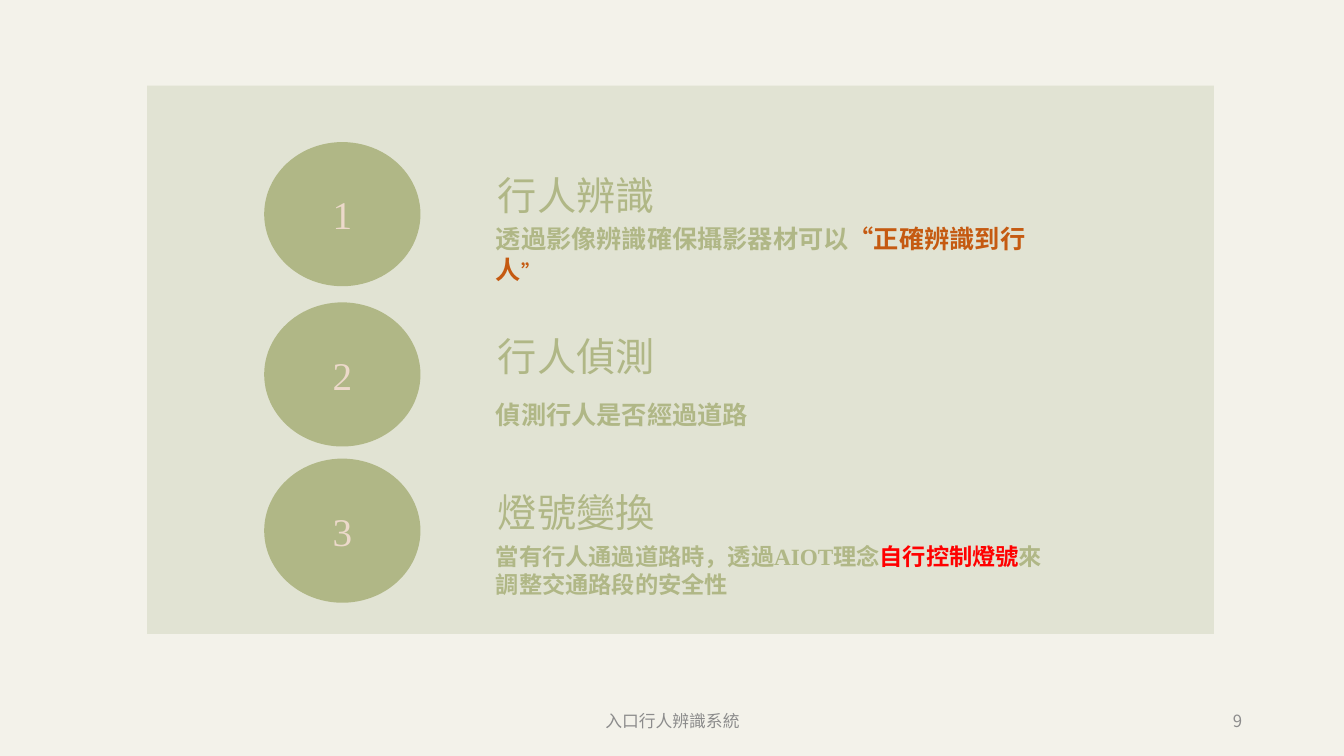
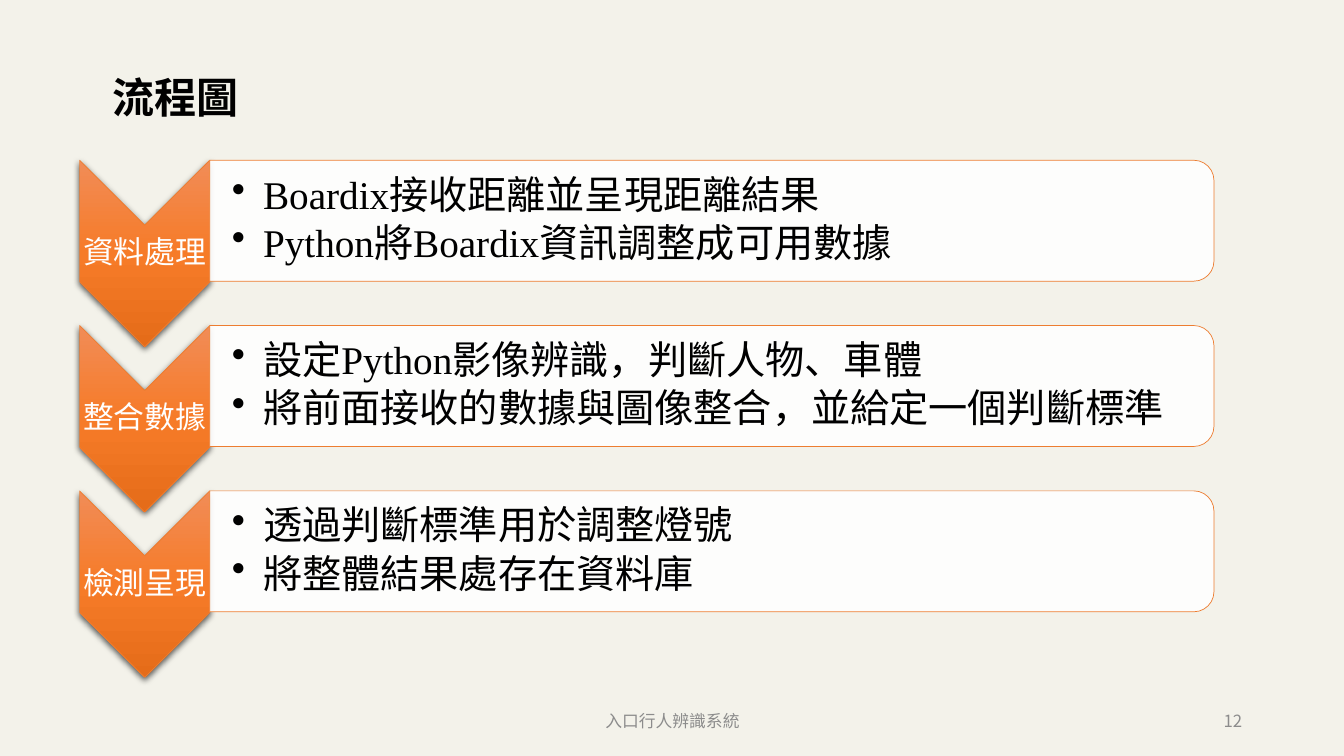
"""Build two slides on a pedestrian recognition system: goals and process flow."""
import pptx
import pptx.dml.color
import pptx.enum.shapes
import pptx.enum.text
import pptx.oxml
import pptx.util

Inches, Pt = pptx.util.Inches, pptx.util.Pt
SHAPES = pptx.enum.shapes.MSO_SHAPE
ALIGN = pptx.enum.text.PP_ALIGN
ANCHOR = pptx.enum.text.MSO_ANCHOR
NAMESPACE = 'xmlns:a="http://schemas.openxmlformats.org/drawingml/2006/main"'

CJK, SERIF = "Noto Sans CJK SC", "Times New Roman"
PAPER, PANEL, OLIVE, CREAM = "F3F2EA", "E1E3D3", "B0B786", "ECD9CA"
ORANGE, RUST, RED = "ED7D31", "C55A11", "FF0000"
GREY, BLACK, WHITE = "8C8C8C", "000000", "FFFFFF"
CHEVRON_STOPS = [(0, "F18C57"), (50, "F67B28"), (100, "E56C19")]

FOOTER = "入口行人辨識系統"
GOALS = [
    (1.41, "行人辨識", 18, [
        ("透過影像辨識確保攝影器材可以", {}),
        ("“正確辨識到行人", {"color": RUST}),
        ("”", {"color": RUST, "size": 14, "font": SERIF})]),
    (3, "行人偵測", 18, [("偵測行人是否經過道路", {})]),
    (4.55, "燈號變換", 16.6, [
        ("當有行人通過道路時，透過", {}),
        ("AIOT", {"font": SERIF}),
        ("理念", {}),
        ("自行控制燈號", {"color": RED}),
        ("來調整交通路段的安全性", {})]),
]
FLOW_TITLE = "流程圖"
FLOW = [
    ("資料處理", ["Boardix接收距離並呈現距離結果",
              "Python將Boardix資訊調整成可用數據"]),
    ("整合數據", ["設定Python影像辨識，判斷人物、車體",
              "將前面接收的數據與圖像整合，並給定一個判斷標準"]),
    ("檢測呈現", ["透過判斷標準用於調整燈號", "將整體結果處存在資料庫"]),
]
FLOW_TOP, FLOW_PITCH = 1.59, 1.64
CHEVRON_LEFT, CHEVRON_WIDTH, CHEVRON_HEIGHT = 0.79, 1.29, 1.85
CARD_WIDTH, CARD_HEIGHT = 9.96, 1.2


def rgb(value):
    """Return the colour for a hex string."""
    return pptx.dml.color.RGBColor.from_string(value)


def xml(markup):
    """Return a drawing element from markup that lacks its namespace."""
    tag, rest = markup[:markup.index(">")], markup[markup.index(">"):]
    return pptx.oxml.parse_xml(f"{tag} {NAMESPACE}{rest}")


def write(shape, paragraphs, size=18, color=BLACK, font=CJK, bold=False,
          align=ALIGN.LEFT, anchor=ANCHOR.MIDDLE, spacing=1.0, before=0,
          after=0, insets=None, bullet=False):
    """Fill a shape with paragraphs, each a string or a list of runs."""
    frame = shape.text_frame
    frame.word_wrap = True
    frame.auto_size = pptx.enum.text.MSO_AUTO_SIZE.NONE
    frame.vertical_anchor = anchor
    if insets:
        (frame.margin_left, frame.margin_top, frame.margin_right,
         frame.margin_bottom) = map(Inches, insets)
    for index, content in enumerate(paragraphs):
        paragraph = frame.add_paragraph() if index else frame.paragraphs[0]
        paragraph.alignment = align
        paragraph.line_spacing = spacing
        paragraph.space_before, paragraph.space_after = Pt(before), Pt(after)
        if bullet:
            properties = paragraph._p.get_or_add_pPr()
            properties.set("marL", str(Inches(0.31)))
            properties.set("indent", str(-Inches(0.31)))
            properties.append(xml('<a:buChar char="•"></a:buChar>'))
        runs = [(content, {})] if isinstance(content, str) else content
        for text, changes in runs:
            run = paragraph.add_run()
            run.text = text
            run.font.size = Pt(changes.get("size", size))
            run.font.bold = bold
            run.font.color.rgb = rgb(changes.get("color", color))
            run.font.name = changes.get("font", font)
            run._r.rPr.append(xml(f'<a:ea typeface="{CJK}"></a:ea>'))


def add_text(slide, box, paragraphs, **style):
    """Add a text box."""
    write(slide.shapes.add_textbox(*map(Inches, box)), paragraphs, **style)


def add_shape(slide, kind, box, fill, line=None):
    """Add a flat shape with a solid fill."""
    shape = slide.shapes.add_shape(kind, *map(Inches, box))
    shape.shadow.inherit = False
    shape.fill.solid()
    shape.fill.fore_color.rgb = rgb(fill)
    if line:
        shape.line.color.rgb = rgb(line)
        shape.line.width = Pt(0.5)
    else:
        shape.line.fill.background()
    return shape


def add_turned(slide, kind, box, fill):
    """Add a shape turned a quarter clockwise that covers the given box."""
    left, top, width, height = box
    shift = (width - height) / 2
    shape = add_shape(slide, kind, (left + shift, top - shift, height, width),
                      fill, ORANGE)
    shape.rotation = 90
    return shape


def add_chevron(slide, box):
    """Add a downward chevron with a gradient and a soft shadow."""
    chevron = add_turned(slide, SHAPES.CHEVRON, box, ORANGE)
    properties = chevron._element.spPr
    stops = "".join(f'<a:gs pos="{place * 1000}"><a:srgbClr val="{color}"/></a:gs>'
                    for place, color in CHEVRON_STOPS)
    solid = properties.find(pptx.oxml.ns.qn("a:solidFill"))
    properties.replace(solid, xml(
        f'<a:gradFill rotWithShape="1"><a:gsLst>{stops}</a:gsLst>'
        '<a:lin ang="0" scaled="0"/></a:gradFill>'))
    effects = properties.find(pptx.oxml.ns.qn("a:effectLst"))
    effects.append(xml(
        f'<a:outerShdw blurRad="{Pt(4.5)}" dist="{Pt(1.5)}" dir="5400000" '
        f'algn="ctr" rotWithShape="0"><a:srgbClr val="{BLACK}">'
        '<a:alpha val="63000"/></a:srgbClr></a:outerShdw>'))


def add_slide(presentation, layout, number):
    """Add a slide with the shared footer and its number."""
    slide = presentation.slides.add_slide(presentation.slide_layouts[layout])
    add_text(slide, (4.42, 6.95, 4.5, 0.4), [FOOTER], size=12, color=GREY,
             align=ALIGN.CENTER)
    add_text(slide, (9.42, 6.95, 3, 0.4), [str(number)], size=12, color=GREY,
             align=ALIGN.RIGHT)
    return slide


def build_goals(presentation):
    """Build the slide of three numbered goals."""
    slide = add_slide(presentation, 6, 9)
    add_shape(slide, SHAPES.RECTANGLE, (1.46, 0.85, 10.58, 5.44), PANEL)
    for number, (top, heading, size, detail) in enumerate(GOALS, 1):
        circle = add_shape(slide, SHAPES.OVAL, (2.62, top, 1.55, 1.43), OLIVE)
        write(circle, [str(number)], size=28, color=CREAM, font=SERIF,
              align=ALIGN.CENTER)
        add_text(slide, (4.84, top + 0.15, 5.57, 1.25), [heading], size=28,
                 color=OLIVE, anchor=ANCHOR.TOP, spacing=1.2)
        add_text(slide, (4.82, top + 0.71, 5.77, 0.8), [detail], size=size,
                 color=OLIVE, bold=True)


def build_flow(presentation):
    """Build the slide of the three process steps."""
    slide = add_slide(presentation, 5, 12)
    title = slide.shapes.title
    title.left, title.top, title.width, title.height = map(
        Inches, (1.02, 0.72, 11.5, 0.77))
    write(title, [FLOW_TITLE], size=30, bold=True, anchor=ANCHOR.TOP,
          spacing=0.9, before=10)
    card_left = CHEVRON_LEFT + CHEVRON_WIDTH
    for row, (step, details) in enumerate(FLOW):
        top = FLOW_TOP + row * FLOW_PITCH
        add_chevron(slide, (CHEVRON_LEFT, top, CHEVRON_WIDTH, CHEVRON_HEIGHT))
        add_text(slide, (CHEVRON_LEFT, top + 0.65, CHEVRON_WIDTH, 0.55), [step],
                 size=22, color=WHITE, align=ALIGN.CENTER, spacing=0.9,
                 insets=(0.02,) * 4)
        card = add_turned(slide, SHAPES.ROUND_2_SAME_RECTANGLE,
                          (card_left, top, CARD_WIDTH, CARD_HEIGHT), WHITE)
        card.fill._xPr.find(pptx.oxml.ns.qn("a:solidFill"))[0].append(
            xml('<a:alpha val="90000"></a:alpha>'))
        add_text(slide, (card_left, top + 0.06, 9.9, 1.08), details, size=28,
                 font=SERIF, spacing=0.9, after=4.2, bullet=True,
                 insets=(0.22, 0.02, 0.02, 0.02))


def main():
    """Build and save the presentation."""
    presentation = pptx.Presentation()
    presentation.slide_width, presentation.slide_height = Inches(13.33), Inches(7.5)
    background = presentation.slide_master.background.fill
    background.solid()
    background.fore_color.rgb = rgb(PAPER)
    build_goals(presentation)
    build_flow(presentation)
    presentation.save("out.pptx")


if __name__ == "__main__":
    main()
